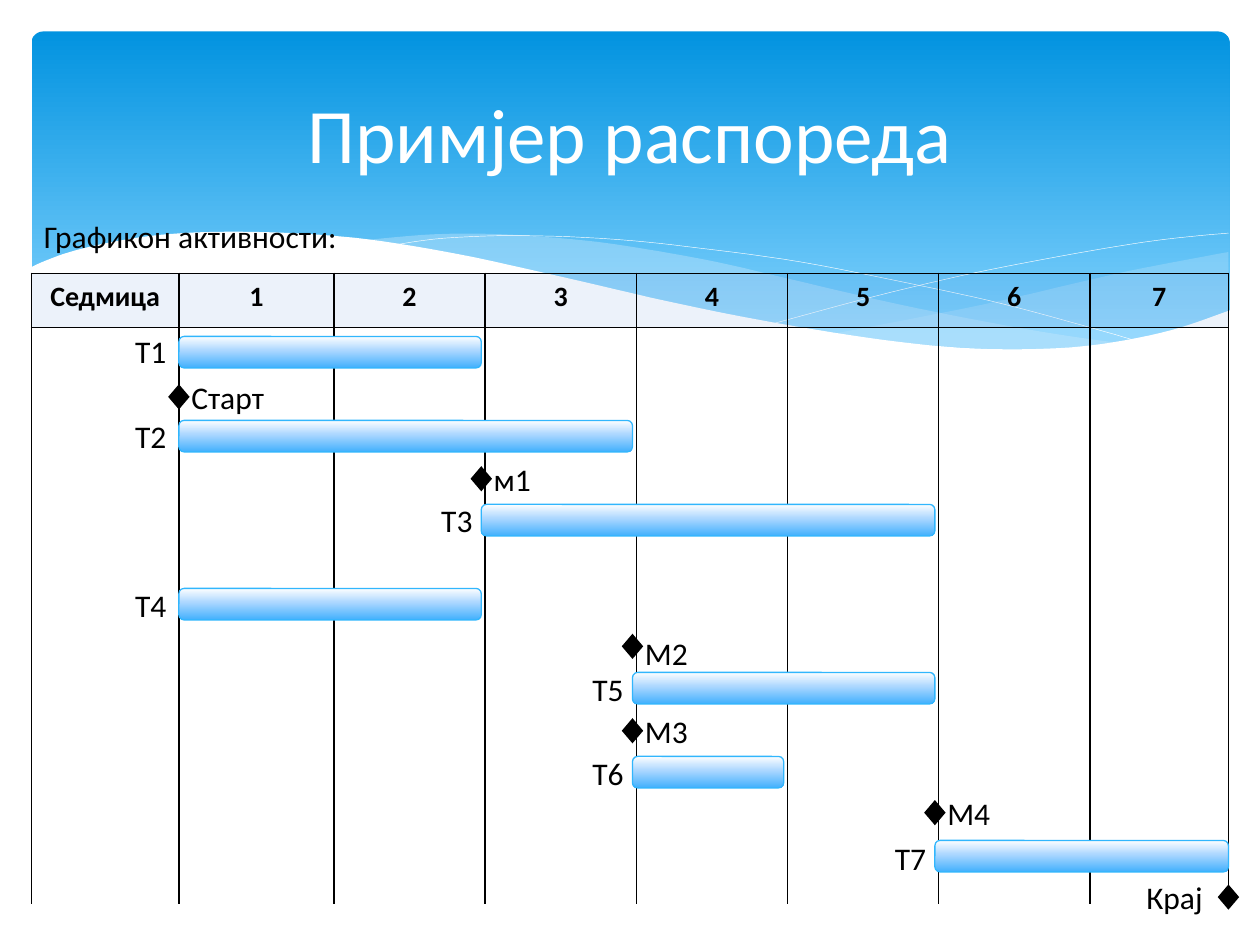
import pptx
import pptx.util
import pptx.dml.color
import pptx.enum.shapes
import pptx.enum.text
import pptx.oxml
import pptx.oxml.ns

In, Pt = pptx.util.Inches, pptx.util.Pt
SHAPE = pptx.enum.shapes.MSO_SHAPE
ALIGN = pptx.enum.text.PP_ALIGN
ANCHOR = pptx.enum.text.MSO_ANCHOR
NS = pptx.oxml.ns.nsdecls("a")
FONT = "Calibri"
COLORS = {"text": "000000", "white": "FFFFFF", "wave": "C6E7FC", "header": "4584D3",
          "bar_line": "31B6FD"}
BANNER_STOPS = [(0, "0293E0"), (90, "83D3FE")]
BAR_STOPS = [(0, "FFFFFF"), (44, "ACD7FF"), (100, "42B0FD")]
NO_STYLE = "{2D5ABB26-0587-4C30-8999-92F81FD0307C}"
UNITS = 1000  # freeform units per inch

# Curves of the banner, as offsets in inches from its top left corner
WAVE_RIGHT = [
    [(9.5, 1.75), (8.81, 1.88), (8.36, 1.98), (7.54, 2.17), (6.36, 2.4)],
    [(6.36, 2.4), (6.94, 2.47), (7.44, 2.51), (7.99, 2.53), (8.47, 2.49), (8.96, 2.4),
     (9.24, 2.32), (9.5, 2.22)]]
WAVE_MIDDLE = [
    [(8.68, 2.48), (8.12, 2.4), (7.5, 2.29), (6.81, 2.15), (6.04, 1.97), (5.44, 1.83),
     (4.89, 1.73), (4.4, 1.66), (3.74, 1.61), (3.19, 1.61), (2.61, 1.66)],
    [(2.61, 1.66), (3.17, 1.74), (3.79, 1.86), (4.24, 1.97), (5.05, 2.15), (5.76, 2.3),
     (6.4, 2.41), (6.97, 2.49), (7.48, 2.52), (7.93, 2.53), (8.32, 2.52), (8.68, 2.48)]]
LINE_FALLING = [(2.84, 1.7), (3.28, 1.64), (3.91, 1.62), (4.64, 1.65), (5.31, 1.72),
                (6.11, 1.83), (7.02, 2.01), (7.7, 2.16), (8.44, 2.36), (8.82, 2.47)]
LINE_RISING = [(5.88, 2.32), (6.7, 2.1), (7.51, 1.91), (8.41, 1.74), (8.99, 1.65), (9.5, 1.6)]
WHITE_EDGE = [(9.52, 2.21), (9.05, 2.37), (8.5, 2.48), (7.98, 2.52), (7.36, 2.51),
              (6.63, 2.43), (5.78, 2.29), (5.04, 2.14), (4.22, 1.95), (3.4, 1.77),
              (2.67, 1.65), (2.05, 1.6), (1.52, 1.59), (1.07, 1.61), (0.7, 1.66),
              (0.34, 1.74), (0.11, 1.82), (-0.02, 1.88)]

# Schedule grid and contents
COLS = [1.17, 1.23] + [1.2] * 5 + [1.1]
HEAD, ROW, LAST = 0.43, 0.67, 0.56
WEEK = 1.2
HEADERS = ["Седмица"] + [str(week) for week in range(1, 8)]
TASKS = [("Т1", 0, 2), ("Т2", 0, 3), ("Т3", 2, 5), ("Т4", 0, 2),  # name, start, end week
         ("Т5", 3, 5), ("Т6", 3, 4), ("Т7", 5, 7)]
# label, week, height below the grid top, label offset from the diamond's centre
MILESTONES = [("Старт", 0, 0.98, (0, -0.2)), ("м1", 2, 1.63, (0, -0.2)),
              ("М2", 3, 2.96, (0, -0.15)), ("М3", 3, 3.63, (0, -0.2)),
              ("М4", 5, 4.28, (0, -0.2)), ("Крај", 7, 4.95, (-0.75, -0.2))]


def rgb(name):
    return pptx.dml.color.RGBColor.from_string(COLORS[name])


def set_alpha(element, percent):
    for color in element.iter(pptx.oxml.ns.qn("a:srgbClr")):
        color.append(pptx.oxml.parse_xml(f'<a:alpha {NS} val="{percent * 1000}"/>'))


def set_gradient(sp, stops):
    sp.fill.gradient()
    sp.fill.gradient_angle = 270
    gs_list = sp._element.spPr.find(".//" + pptx.oxml.ns.qn("a:gsLst"))
    for old in list(gs_list):
        gs_list.remove(old)
    for pos, color in stops:
        gs_list.append(pptx.oxml.parse_xml(
            f'<a:gs {NS} pos="{pos * 1000}"><a:srgbClr val="{color}"/></a:gs>'))


def format_text(p, size, color="text", bold=False, align=None):
    p.alignment = align
    for r in p.runs:
        r.font.name, r.font.size, r.font.bold = FONT, Pt(size), bold
        r.font.color.rgb = rgb(color)


def add_preset(s, kind, x, y, w, h):
    sp = s.shapes.add_shape(kind, In(x), In(y), In(w), In(h))
    sp.shadow.inherit = False
    sp.line.fill.background()
    return sp


def add_label(s, text, x, y, w):
    sp = s.shapes.add_textbox(In(x), In(y), In(w), In(0.4))
    tf = sp.text_frame
    tf.word_wrap = True
    tf.auto_size = pptx.enum.text.MSO_AUTO_SIZE.SHAPE_TO_FIT_TEXT
    tf.text = text
    format_text(tf.paragraphs[0], 18)


def smooth(points, steps=6):
    """Catmull-Rom curve through the points."""
    ends = [points[0]] + points + [points[-1]]
    curve = [points[0]]
    for a, b, c, d in zip(ends, ends[1:], ends[2:], ends[3:]):
        for t in (i / steps for i in range(1, steps + 1)):
            curve.append(tuple(
                (2 * q + (r - p) * t + (2 * p - 5 * q + 4 * r - u) * t ** 2
                 + (3 * q - p - 3 * r + u) * t ** 3) / 2
                for p, q, r, u in zip(a, b, c, d)))
    return curve


def add_curve(s, x, y, points, closed):
    points = [(round((x + px) * UNITS), round((y + py) * UNITS)) for px, py in points]
    builder = s.shapes.build_freeform(*points[0], scale=In(1) / UNITS)
    builder.add_line_segments(points[1:], close=closed)
    sp = builder.convert_to_shape()
    sp.shadow.inherit = False
    if closed:
        sp.fill.solid()
        sp.fill.fore_color.rgb = rgb("white")
        sp.line.fill.background()
    else:
        sp.fill.background()
        sp.line.color.rgb = rgb("white")
        sp.line.width = Pt(0.25)
    return sp


def add_banner(s, x, y, w, h):
    sp = add_preset(s, SHAPE.ROUNDED_RECTANGLE, x, y, w, h)
    sp.adjustments[0] = 0.034
    set_gradient(sp, BANNER_STOPS)
    for (top, bottom), alpha in ((WAVE_RIGHT, 29), (WAVE_MIDDLE, 40)):
        sp = add_curve(s, x, y, smooth(top) + smooth(bottom)[1:], True)
        sp.fill.fore_color.rgb = rgb("wave")
        set_alpha(sp._element.spPr, alpha)
    for line in (LINE_FALLING, LINE_RISING):
        add_curve(s, x, y, smooth(line), False)
    add_curve(s, x, y, smooth(WHITE_EDGE) + [(-0.02, 3.04), (w + 0.02, 3.04)], True)


def add_title(s, text, x, y, w, h):
    sp = s.shapes.title
    sp._element.getparent().append(sp._element)  # in front of the banner
    sp.left, sp.top, sp.width, sp.height = In(x), In(y), In(w), In(h)
    tf = sp.text_frame
    tf.text = text
    tf.vertical_anchor = ANCHOR.MIDDLE
    format_text(tf.paragraphs[0], 44, "white", align=ALIGN.CENTER)


def set_borders(cell, drawn):
    """Draw the named sides and clear the others."""
    line = f'<a:solidFill><a:srgbClr val="{COLORS["text"]}"/></a:solidFill>'
    for side in "LRTB":
        fill = line if side in drawn else "<a:noFill/>"
        cell._tc.get_or_add_tcPr().append(pptx.oxml.parse_xml(
            f'<a:ln{side} {NS} w="12700">{fill}</a:ln{side}>'))


def add_grid(s, x, y):
    rows = [HEAD] + [ROW] * (len(TASKS) - 1) + [LAST]
    frame = s.shapes.add_table(len(rows), len(COLS), In(x), In(y), In(sum(COLS)), In(sum(rows)))
    table = frame.table
    table._tbl.tblPr.find(pptx.oxml.ns.qn("a:tableStyleId")).text = NO_STYLE
    table.first_row = table.horz_banding = False
    for col, width in zip(table.columns, COLS):
        col.width = In(width)
    for row, height in zip(table.rows, rows):
        row.height = In(height)
    for i, row in enumerate(table.rows):
        for j, cell in enumerate(row.cells):
            set_borders(cell, "LRTB" if i == 0 else "LRT" if i == 1 else "LR")
            if i == 0:
                cell.text = HEADERS[j]
                format_text(cell.text_frame.paragraphs[0], 16, bold=True, align=ALIGN.CENTER)
                cell.fill.solid()
                cell.fill.fore_color.rgb = rgb("header")
                set_alpha(cell._tc.tcPr.find(pptx.oxml.ns.qn("a:solidFill")), 10)
            else:
                cell.fill.background()
    for i, (name, start, _) in enumerate(TASKS, 1):
        cell = table.cell(i, start)
        cell.text = name
        format_text(cell.text_frame.paragraphs[0], 18, align=ALIGN.RIGHT)


def add_schedule(s, x, y):
    def week_x(week):
        return x + COLS[0] + min(week * WEEK, 8.33)

    add_grid(s, x, y)
    # Task bars
    for i, (_, start, end) in enumerate(TASKS):
        sp = add_preset(s, SHAPE.ROUNDED_RECTANGLE, week_x(start), y + 0.5 + i * 2 / 3,
                        week_x(end) - week_x(start), 0.25)
        set_gradient(sp, BAR_STOPS)
        sp.line.color.rgb = rgb("bar_line")
        sp.line.width = Pt(0.75)
    # Milestones
    for text, week, down, (dx, dy) in MILESTONES:
        cx, cy = week_x(week), y + down
        add_label(s, text, cx + dx, cy + dy, 0.83)
        sp = add_preset(s, SHAPE.DIAMOND, cx - 0.085, cy - 0.1, 0.17, 0.2)
        sp.fill.solid()
        sp.fill.fore_color.rgb = rgb("text")


def main():
    prs = pptx.Presentation()
    prs.slide_width, prs.slide_height = In(10), In(7.5)
    s = prs.slides.add_slide(prs.slide_layouts[5])
    add_banner(s, 0.25, 0.25, 9.51, 2.7)
    add_title(s, "Примјер распореда", 0.5, 0.37, 9, 1.37)
    add_schedule(s, 0.25, 2.17)
    add_label(s, "Графикон активности:", 0.25, 1.67, 2.67)
    prs.save("out.pptx")


if __name__ == "__main__":
    main()
